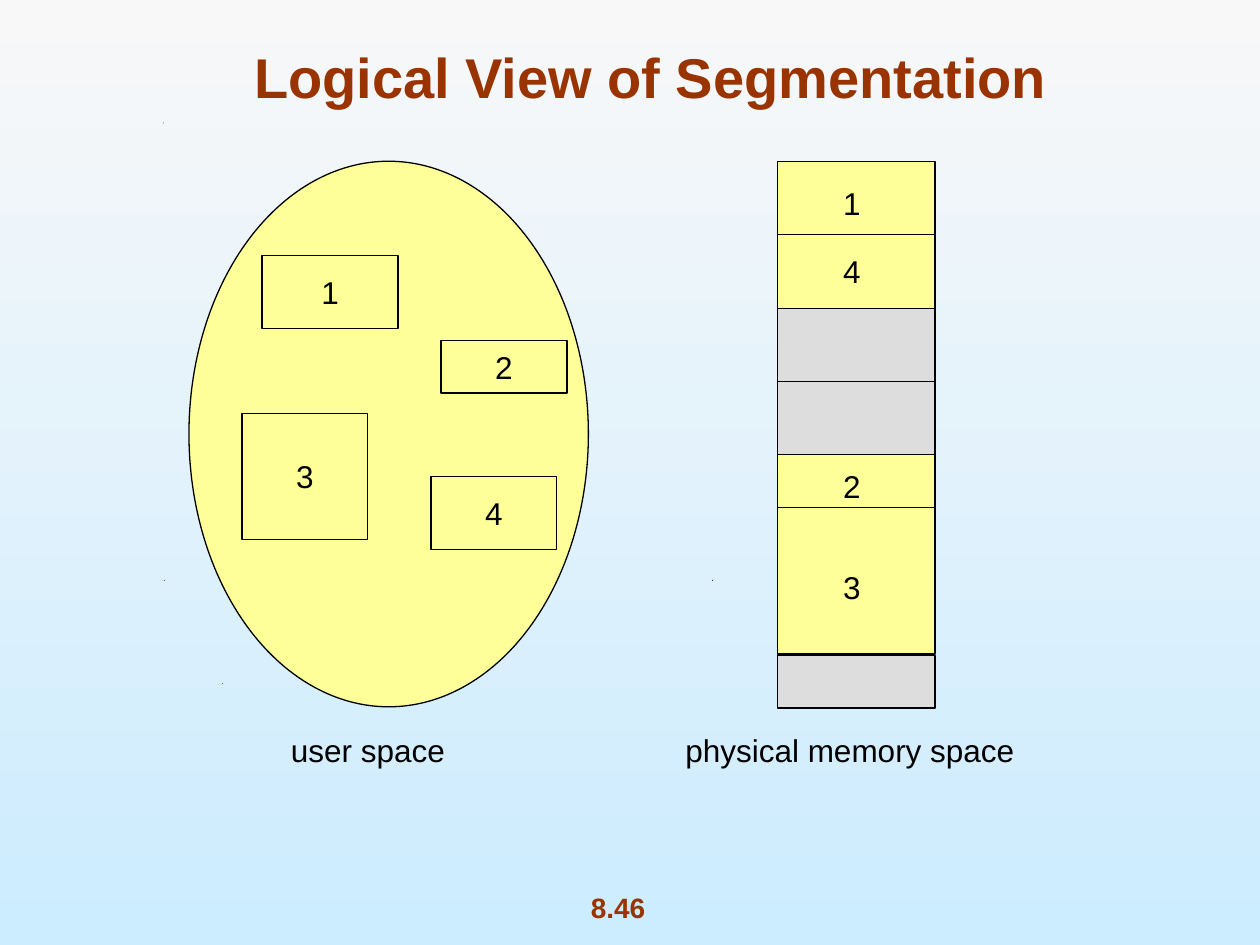
from dataclasses import dataclass

from lxml import etree
from pptx import Presentation
from pptx import util as u
from pptx.dml.color import RGBColor
from pptx.enum import shapes, text
from pptx.oxml.ns import qn


@dataclass(frozen=True)
class Theme:
    font: str = "Arial"
    heading: str = "993300"
    ink: str = "000000"
    segment: str = "FFFF99"
    free: str = "DDDDDD"
    sky: tuple = ("F8F8F8", "CCECFF")
    title_size: int = 32
    body_size: int = 18
    page_size: int = 16
    line_width: float = 0.75


class Diagram:
    def __init__(self, slide, theme):
        self.slide, self.theme = slide, theme
        self.canvas = slide.shapes

    def background(self):
        fill = self.slide.background.fill
        fill.gradient()
        fill.gradient_angle = 270
        for stop, position, color in zip(fill.gradient_stops, (0, 1), self.theme.sky):
            stop.position = position
            stop.color.rgb = RGBColor.from_string(color)

    def set_words(self, shape, words, size, color, bold=False,
                  anchor=text.MSO_ANCHOR.MIDDLE, wrap=False):
        frame = shape.text_frame
        frame.word_wrap = wrap
        frame.vertical_anchor = anchor
        paragraph = frame.paragraphs[0]
        paragraph.text = words
        paragraph.alignment = text.PP_ALIGN.CENTER
        font = paragraph.font
        font.name, font.size, font.bold = self.theme.font, u.Pt(size), bold
        font.color.rgb = RGBColor.from_string(color)

    def heading(self, words, box, size, anchor, wrap=False):
        shape = self.canvas.add_textbox(*map(u.Inches, box))
        self.set_words(shape, words, size, self.theme.heading, True, anchor, wrap)

    def label(self, words, box):
        shape = self.canvas.add_textbox(*map(u.Inches, box))
        self.set_words(shape, words, self.theme.body_size, self.theme.ink)

    def block(self, box, color, words="", kind=shapes.MSO_SHAPE.RECTANGLE):
        shape = self.canvas.add_shape(kind, *map(u.Inches, box))
        shape.shadow.inherit = False
        shape.fill.solid()
        shape.fill.fore_color.rgb = RGBColor.from_string(color)
        self.outline(shape.line)
        if words:
            self.set_words(shape, words, self.theme.body_size, self.theme.ink)

    def outline(self, line):
        line.color.rgb = RGBColor.from_string(self.theme.ink)
        line.width = u.Pt(self.theme.line_width)

    def divider(self, left, right, y):
        line = self.canvas.add_connector(
            shapes.MSO_CONNECTOR.STRAIGHT, *map(u.Inches, (left, y, right, y)))
        self.outline(line.line)
        etree.SubElement(line._element.spPr, qn("a:effectLst"))

    def speck(self, x, y, size=0.01):
        builder = self.canvas.build_freeform(u.Inches(x), u.Inches(y + size))
        builder.add_line_segments(
            [(u.Inches(x + size), u.Inches(y)),
             (u.Inches(x + size / 2), u.Inches(y + size))])
        shape = builder.convert_to_shape()
        shape.shadow.inherit = False
        shape.fill.solid()
        shape.fill.fore_color.rgb = RGBColor.from_string(self.theme.ink)
        shape.line.fill.background()

    def start_group(self):
        self.canvas = self.slide.shapes.add_group_shape().shapes

    def end_group(self):
        self.canvas = self.slide.shapes


def main():
    deck = Presentation()
    deck.slide_width, deck.slide_height = u.Inches(10), u.Inches(7.5)
    theme = Theme()
    diagram = Diagram(deck.slides.add_slide(deck.slide_layouts[6]), theme)

    # Backdrop, page number and title
    diagram.background()
    diagram.heading("8.46", (4.18, 7.02, 1.45, 0.37), theme.page_size,
                    text.MSO_ANCHOR.TOP)
    for x, y in ((1.76, 5.42), (1.3, 4.6), (5.65, 4.6), (1.29, 0.97)):
        diagram.speck(x, y)
    diagram.heading("Logical View of Segmentation", (0.75, 0.25, 8.83, 0.67),
                    theme.title_size, text.MSO_ANCHOR.BOTTOM, wrap=True)

    # User space with its segments
    diagram.block((1.5, 1.28, 3.17, 4.33), theme.segment,
                  kind=shapes.MSO_SHAPE.OVAL)
    for number, box in (("1", (2.08, 2.03, 1.08, 0.58)),
                        ("3", (1.92, 3.28, 1, 1)),
                        ("2", (3.5, 2.7, 1, 0.42)),
                        ("4", (3.42, 3.78, 1, 0.58))):
        diagram.block(box, theme.segment, number)

    # Physical memory: areas, dividers and segment numbers
    left, width = 6.17, 1.25
    diagram.start_group()
    for top, height, color in ((1.28, 1.17, theme.segment),
                               (2.45, 1.17, theme.free),
                               (3.61, 1.58, theme.segment),
                               (5.2, 0.42, theme.free)):
        diagram.block((left, top, width, height), color)
    for y in (1.86, 3.03, 4.03):
        diagram.divider(left, left + width, y)
    for number, top in (("1", 1.41), ("4", 1.95), ("2", 3.66), ("3", 4.46)):
        diagram.label(number, (6.59, top, 0.34, 0.4))
    diagram.end_group()

    # Captions
    diagram.label("user space ", (2.21, 5.75, 1.49, 0.4))
    diagram.label("physical memory space", (5.34, 5.75, 2.81, 0.4))

    deck.save("out.pptx")


if __name__ == "__main__":
    main()
